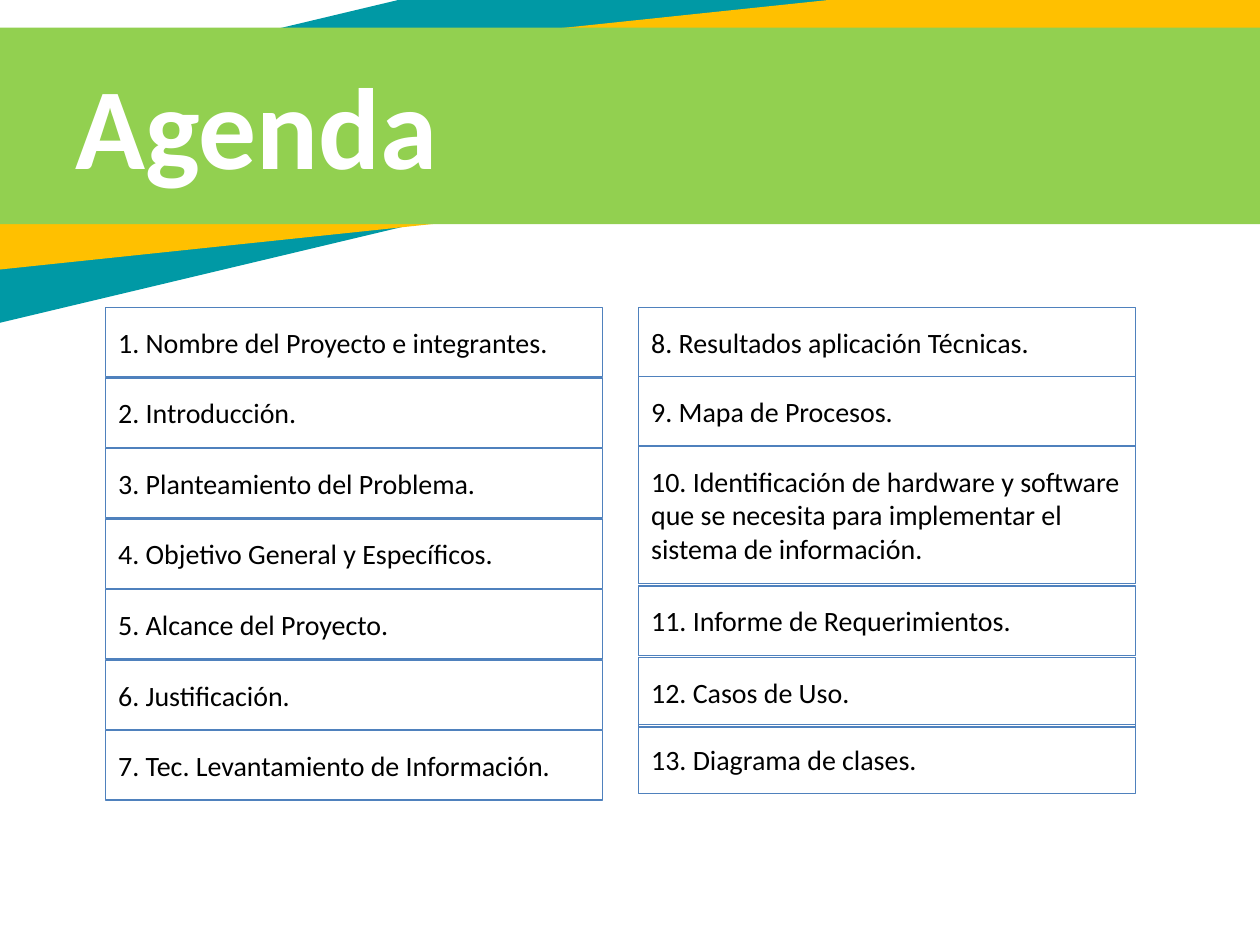
import pptx
import pptx.dml.color
import pptx.enum.shapes
import pptx.enum.text
import pptx.util
from pptx.util import Inches

FONT = "Calibri"
COLUMN_WIDTH = 3.94
ROW_HEIGHT = 0.55
LEFT_COLUMN = 0.84
RIGHT_COLUMN = 5.07
FIRST_ROW_TOP = 2.44
LEFT_ROW_PITCH = 0.56

# left, top, width, height, rotation, colour
BANDS = [
    (-2.51, -0.18, 13.06, 1.76, 346.6, "0099A5"),
    (-1.1, 0.2, 11.63, 1.44, 354, "FFC000"),
    (-1.06, 0.22, 11.63, 1.56, 0, "92D050"),
]

LEFT_TOPICS = [
    "1. Nombre del Proyecto e integrantes.",
    "2. Introducción.",
    "3. Planteamiento del Problema.",
    "4. Objetivo General y Específicos.",
    "5. Alcance del Proyecto.",
    "6. Justificación.",
    "7. Tec. Levantamiento de Información.",
]

# top, height, text
RIGHT_TOPICS = [
    (2.44, ROW_HEIGHT, "8. Resultados aplicación Técnicas."),
    (2.99, ROW_HEIGHT, "9. Mapa de Procesos."),
    (3.54, 1.09, "10. Identificación de hardware y software\n"
                 "que se necesita para implementar el\n"
                 "sistema de información."),
    (4.65, ROW_HEIGHT, "11. Informe de Requerimientos."),
    (5.22, ROW_HEIGHT, "12. Casos de Uso."),
    (5.75, ROW_HEIGHT, "13. Diagrama de clases."),
]


def colour(hex_string):
    return pptx.dml.color.RGBColor.from_string(hex_string)


def add_rectangle(page, left, top, width, height):
    box = page.shapes.add_shape(
        pptx.enum.shapes.MSO_SHAPE.RECTANGLE,
        Inches(left), Inches(top), Inches(width), Inches(height))
    box.shadow.inherit = False
    return box


def write_text(box, text, size, hex_string, bold=False):
    frame = box.text_frame
    frame.text = text
    frame.word_wrap = True
    frame.vertical_anchor = pptx.enum.text.MSO_ANCHOR.MIDDLE
    for para in frame.paragraphs:
        para.alignment = pptx.enum.text.PP_ALIGN.LEFT
        for span in para.runs:
            span.font.name = FONT
            span.font.size = pptx.util.Pt(size)
            span.font.bold = bold
            span.font.color.rgb = colour(hex_string)


def add_band(page, left, top, width, height, rotation, hex_string):
    band = add_rectangle(page, left, top, width, height)
    band.rotation = rotation
    band.fill.solid()
    band.fill.fore_color.rgb = colour(hex_string)
    band.line.fill.background()


def add_title(page, text):
    box = page.shapes.add_textbox(
        Inches(0.5), Inches(0.49), Inches(6.58), Inches(0.97))
    write_text(box, text, 66, "FFFFFF", bold=True)


def add_topic(page, left, top, height, text):
    box = add_rectangle(page, left, top, COLUMN_WIDTH, height)
    box.fill.background()
    box.line.color.rgb = colour("4F81BD")
    box.line.width = pptx.util.Pt(0.75)
    write_text(box, text, 16, "000000")


def main():
    deck = pptx.Presentation()
    deck.slide_width = Inches(10)
    deck.slide_height = Inches(7.5)
    page = deck.slides.add_slide(deck.slide_layouts[6])

    for band in BANDS:
        add_band(page, *band)
    add_title(page, "Agenda")
    for row, text in enumerate(LEFT_TOPICS):
        top = FIRST_ROW_TOP + row * LEFT_ROW_PITCH
        add_topic(page, LEFT_COLUMN, top, ROW_HEIGHT, text)
    for topic in RIGHT_TOPICS:
        add_topic(page, RIGHT_COLUMN, *topic)

    deck.save("out.pptx")


if __name__ == "__main__":
    main()
